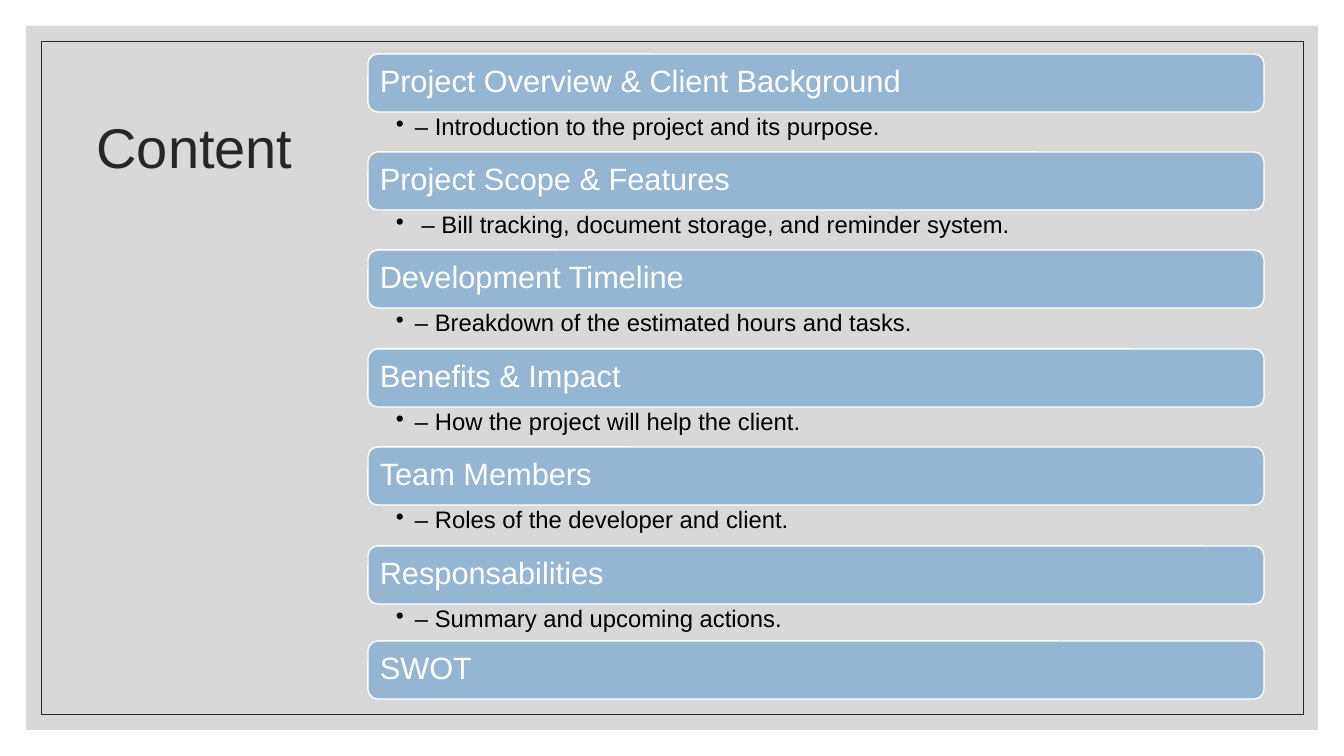
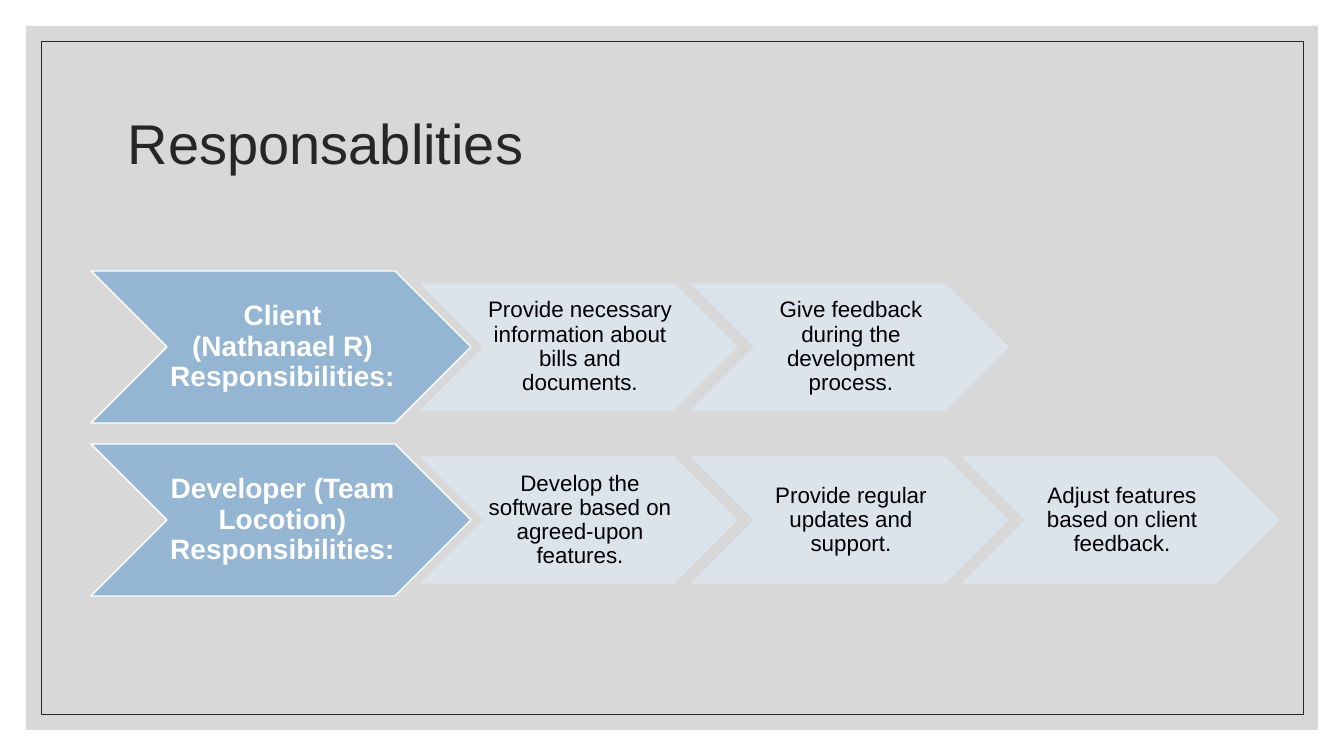
import pptx
import pptx.dml.color
import pptx.enum.shapes
import pptx.enum.text
import pptx.oxml.ns
import pptx.util
from lxml import etree

SHAPE = pptx.enum.shapes.MSO_SHAPE
ALIGN = pptx.enum.text.PP_ALIGN
ANCHOR = pptx.enum.text.MSO_ANCHOR
qn = pptx.oxml.ns.qn

PX_PER_INCH = 100.8

WHITE, BLACK, DARK = "FFFFFF", "000000", "262626"
BLUE, PALE_BLUE, GREY = "94B6D2", "DCE5EE", "BFBFBF"

TOPICS = [
    ("Project Overview & Client Background", "– Introduction to the project and its purpose."),
    ("Project Scope & Features", " – Bill tracking, document storage, and reminder system."),
    ("Development Timeline", "– Breakdown of the estimated hours and tasks."),
    ("Benefits & Impact", "– How the project will help the client."),
    ("Team Members", "– Roles of the developer and client."),
    ("Responsabilities", "– Summary and upcoming actions."),
]

ROLES = [
    ("Client (Nathanael R) Responsibilities:", [
        "Provide necessary information about bills and documents.",
        "Give feedback during the development process.",
    ]),
    ("Developer (Team Locotion) Responsibilities:", [
        "Develop the software based on agreed-upon features.",
        "Provide regular updates and support.",
        "Adjust features based on client feedback.",
    ]),
]


def px(length):
    return pptx.util.Emu(round(length * 914400 / PX_PER_INCH))


def colour(hex_code):
    return pptx.dml.color.RGBColor.from_string(hex_code)


def set_opacity(shape, percent):
    """Apply one opacity to the fill and the line of a shape."""
    for tone in shape.element.spPr.iter(qn("a:srgbClr")):
        etree.SubElement(tone, qn("a:alpha"), val=str(percent * 1000))


class Style:
    """Holds the look of the deck and the slide being built."""

    font = "Arial"

    def __init__(self):
        self.deck = pptx.Presentation()
        self.deck.slide_width = px(1344)
        self.deck.slide_height = px(756)
        self.layout = self.deck.slide_layouts[5]
        self.page = None

    def new_page(self, title, place, align=ALIGN.LEFT):
        self.page = self.deck.slides.add_slide(self.layout)
        box = self.page.shapes.title
        box.left, box.top, box.width, box.height = map(px, place)
        self.set_text(box, title, 40, DARK, align, insets=(10, 5, 10, 5))

    def share_frame(self):
        """Draw the grey band and thin frame, then move them to the layout."""
        band = self.shape(SHAPE.RECTANGLE, (26, 26, 1292, 704), fill=GREY)
        set_opacity(band, 60)
        frame = self.shape(SHAPE.RECTANGLE, (41, 41, 1262, 673), line=DARK, weight=0.5)
        tree = self.layout.element.cSld.spTree
        for offset, part in enumerate((band, frame)):
            part.element.nvSpPr.cNvPr.set("id", str(20 + offset))
            tree.insert(2 + offset, part.element)

    def shape(self, kind, place, fill=None, line=None, weight=1):
        shape = self.page.shapes.add_shape(kind, *map(px, place))
        shape.shadow.inherit = False
        if fill:
            shape.fill.solid()
            shape.fill.fore_color.rgb = colour(fill)
        else:
            shape.fill.background()
        if line:
            shape.line.color.rgb = colour(line)
            shape.line.width = pptx.util.Pt(weight)
        else:
            shape.line.fill.background()
        return shape

    def set_text(self, box, text, size, tone, align=ALIGN.LEFT, anchor=ANCHOR.MIDDLE,
                 insets=(0, 0, 0, 0), bold=False):
        frame = box.text_frame
        frame.word_wrap = True
        frame.auto_size = pptx.enum.text.MSO_AUTO_SIZE.NONE
        frame.vertical_anchor = anchor
        (frame.margin_left, frame.margin_top,
         frame.margin_right, frame.margin_bottom) = map(px, insets)
        para = frame.paragraphs[0]
        para.text = text
        para.alignment = align
        para.line_spacing = 0.9
        para.font.name = self.font
        para.font.size = pptx.util.Pt(size)
        para.font.bold = bold
        para.font.color.rgb = colour(tone)
        return para

    def bar(self, text, top):
        bar = self.shape(SHAPE.ROUNDED_RECTANGLE, (368, top, 896, 58), BLUE, WHITE)
        self.set_text(bar, text, 22, WHITE, insets=(9, 9, 9, 9))

    def bullet(self, text, top):
        box = self.page.shapes.add_textbox(*map(px, (368, top, 896, 40)))
        para = self.set_text(box, text, 17, BLACK, anchor=ANCHOR.TOP, insets=(28, 3, 17, 3))
        properties = para._p.get_or_add_pPr()
        properties.set("marL", str(px(19)))
        properties.set("indent", str(px(-19)))
        mark = etree.Element(qn("a:buChar"), char="•")
        properties.find(qn("a:defRPr")).addprevious(mark)

    def role_chevron(self, text, left, top):
        chevron = self.shape(SHAPE.CHEVRON, (left, top, 380, 152), BLUE, WHITE)
        self.set_text(chevron, text, 20, WHITE, ALIGN.CENTER, insets=(3, 1, 0, 1), bold=True)

    def task_chevron(self, text, left, top):
        chevron = self.shape(SHAPE.CHEVRON, (left, top, 316, 126), PALE_BLUE, PALE_BLUE)
        set_opacity(chevron, 90)
        self.set_text(chevron, text, 16, BLACK, ALIGN.CENTER, insets=(2, 1, 0, 1))


def build_content(style):
    for row, (topic, detail) in enumerate(TOPICS):
        top = 54 + 492 * row // 5
        style.bar(topic, top)
        style.bullet(detail, top + 58)
    style.bar("SWOT", 641)


def build_responsibilities(style):
    for row, (role, tasks) in enumerate(ROLES):
        top = 271 + 173 * row
        style.role_chevron(role, 91, top)
        for column, task in enumerate(tasks):
            style.task_chevron(task, 421 + 271 * column, top + 13)


def main():
    style = Style()
    style.new_page("Content", (50, 75, 289, 151), ALIGN.CENTER)
    style.share_frame()
    build_content(style)
    style.new_page("Responsablities", (118, 71, 1109, 151))
    build_responsibilities(style)
    style.deck.save("out.pptx")


if __name__ == "__main__":
    main()
